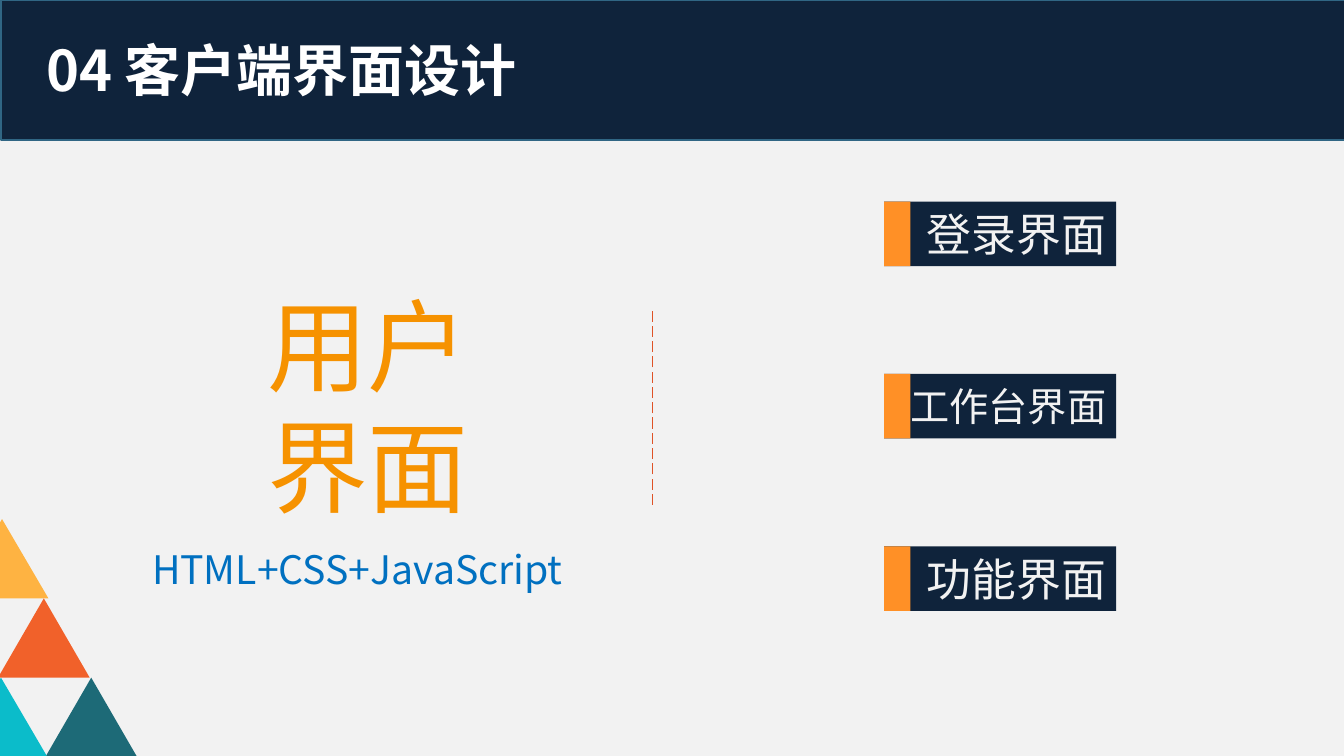
from lxml import etree
from pptx import Presentation
from pptx import util as u
from pptx.dml.color import RGBColor
from pptx.enum import dml, shapes, text
from pptx.oxml.ns import qn

FONT = "Noto Sans CJK SC"
NAVY, PALE = "0F233B", "F2F2F2"


def rgb(value):
    """Turn a hex string into a colour."""
    return RGBColor.from_string(value)


def paint(sp, fill, line=None):
    """Give a shape a flat fill and an optional thin outline."""
    sp.shadow.inherit = False
    sp.fill.solid()
    sp.fill.fore_color.rgb = rgb(fill)
    if line:
        sp.line.color.rgb = rgb(line)
        sp.line.width = u.Pt(1)
    else:
        sp.line.fill.background()
    return sp


def add_block(s, box, fill, line=None, kind=shapes.MSO_SHAPE.RECTANGLE):
    """Add a filled preset shape in a box given in inches."""
    return paint(s.shapes.add_shape(kind, *map(u.Inches, box)), fill, line)


def add_outline(s, points, fill):
    """Add a filled polygon through points given in inches."""
    start, *rest = [tuple(map(u.Inches, point)) for point in points]
    fb = s.shapes.build_freeform(*start)
    fb.add_line_segments(rest)
    return paint(fb.convert_to_shape(), fill)


def write(sp, words, color, align=text.PP_ALIGN.LEFT, **formats):
    """Put one styled paragraph into a shape."""
    tf = sp.text_frame
    tf.word_wrap = True
    p = tf.paragraphs[0]
    p.alignment = align
    r = p.add_run()
    r.text = words
    r.font.color.rgb = rgb(color)
    for name, value in {"name": FONT, **formats}.items():
        setattr(r.font, name, value)
    etree.SubElement(r.font._element, qn("a:ea"), typeface=FONT)


def add_label(s, box, words, color, **formats):
    """Add a text box with one styled paragraph."""
    write(s.shapes.add_textbox(*map(u.Inches, box)), words, color, **formats)


def add_header(s, box, title):
    """Draw the dark title band and its heading."""
    x, y, w, h = box
    add_block(s, box, NAVY, "306684")
    add_label(s, (x + 0.35, y + 0.3, 10.21, 0.77), title, "FFFFFF",
              size=u.Pt(40), bold=True)


def add_triangles(s, box):
    """Stack the corner triangles, with the left ones cut by the slide edge."""
    x, y, w, h = box
    side, row = 0.91, h / 3
    for dx, level, color in ((w - side, 2, "1D6A77"), (0, 1, "F1612A")):
        add_block(s, (x + dx, y + level * row, side, row), color,
                  kind=shapes.MSO_SHAPE.ISOSCELES_TRIANGLE)
    for dx, level, color in ((0, 2, "0BBCCA"), (0.01, 0, "FEB342")):
        left, top = x + dx, y + level * row
        add_outline(s, [(left, top + row), (left + 0.49, top + row),
                        (left + 0.03, top), (left, top + 0.05)], color)


def add_topic(s, box):
    """Write the large topic and the technologies under it."""
    x, y, w, h = box
    add_label(s, (x + w / 4, y, w / 2, 2.52), "用户界面", "F69200", size=u.Pt(72))
    add_label(s, (x, y + h - 0.57, w, 0.57), "HTML+CSS+JavaScript", "0070C0", size=u.Pt(28))


def add_divider(s, x, top, bottom):
    """Draw the dashed vertical divider."""
    cx = s.shapes.add_connector(shapes.MSO_CONNECTOR.STRAIGHT,
                                *map(u.Inches, (x, bottom, x, top)))
    cx.line.color.rgb = rgb("DF5327")
    cx.line.width = u.Pt(1)
    cx.line.dash_style = dml.MSO_LINE.LONG_DASH
    etree.SubElement(cx._element.spPr, qn("a:effectLst"))


def add_screens(s, box, screens):
    """Space the screen tags evenly down the box."""
    x, y, w, h = box
    tag = 0.64
    step = (h - tag) / (len(screens) - 1)
    for i, (words, size) in enumerate(screens):
        top = y + i * step
        sp = add_block(s, (x, top, w, tag), NAVY)
        sp.text_frame.vertical_anchor = text.MSO_ANCHOR.MIDDLE
        write(sp, words, PALE, text.PP_ALIGN.RIGHT, size=u.Pt(size))
        add_block(s, (x, top, 0.26, tag), "FF9026")


def main():
    """Build the slide and save it."""
    prs = Presentation()
    prs.slide_width, prs.slide_height = u.Inches(13.33), u.Inches(7.5)
    s = prs.slides.add_slide(prs.slide_layouts[6])
    add_block(s, (0, 0, 13.33, 7.5), PALE)
    add_header(s, (0.01, 0, 13.33, 1.39), "04 客户端界面设计")
    add_triangles(s, (-0.02, 5.15, 1.38, 2.36))
    add_topic(s, (1.41, 2.77, 4.56, 3.16))
    add_divider(s, 6.47, 3.04, 5.01)
    add_screens(s, (8.77, 2, 2.3, 4.06),
                [("登录界面", 32), ("工作台界面", 28), ("功能界面", 32)])
    prs.save("out.pptx")


if __name__ == "__main__":
    main()
